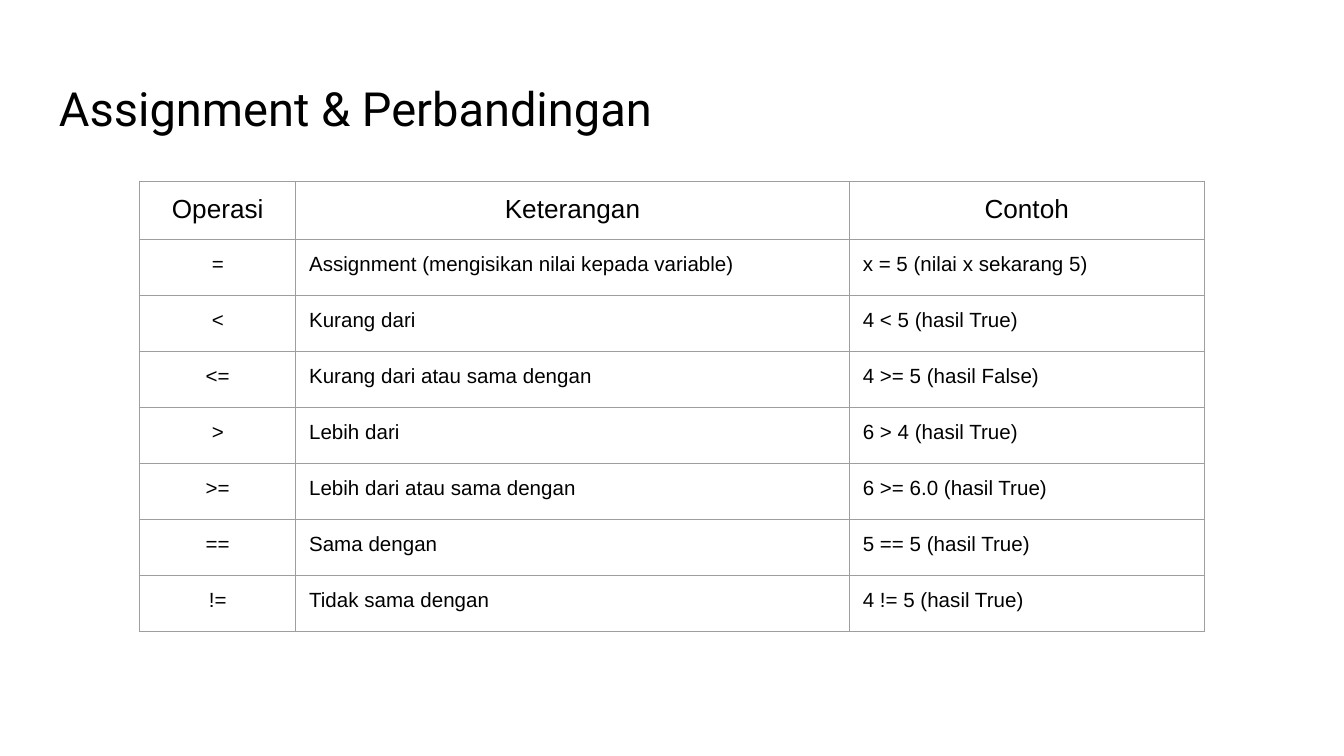
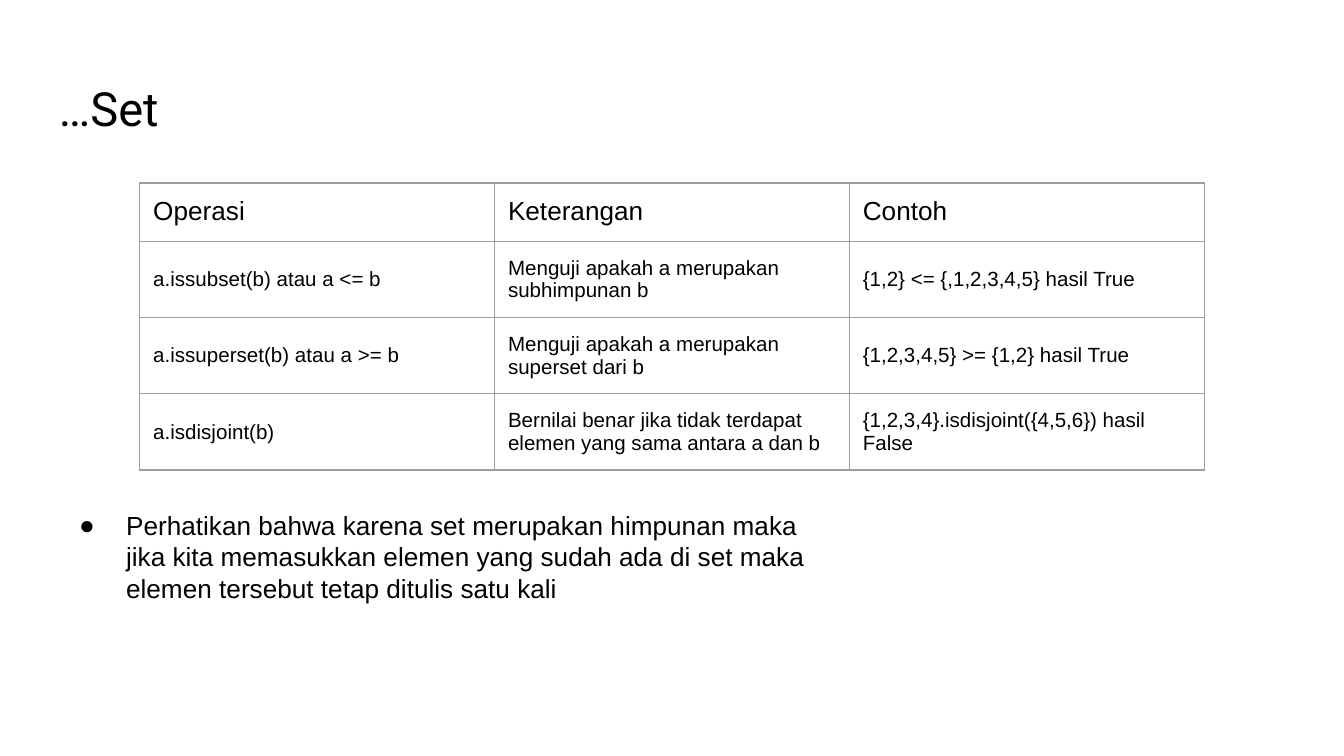
"""Build two slides on Python operators: comparison and set operations."""
from lxml import etree
from pptx import Presentation
from pptx.dml.color import RGBColor
from pptx.enum.text import MSO_ANCHOR, MSO_AUTO_SIZE, PP_ALIGN
from pptx.oxml.ns import qn
from pptx.util import Inches, Pt

MID, TOP = MSO_ANCHOR.MIDDLE, MSO_ANCHOR.TOP
LEFT, MIDDLE = PP_ALIGN.LEFT, PP_ALIGN.CENTER
GROW = MSO_AUTO_SIZE.SHAPE_TO_FIT_TEXT
HEX = {"ink": "000000", "rule": "9E9E9E", "page": "FFFFFF"}
HEAD, BODY = "Roboto", "Arial"
PAD = Inches(0.1)

deck = Presentation()
deck.slide_width, deck.slide_height = Inches(10), Inches(5.625)
COL, ROW = deck.slide_width / 100, deck.slide_height / 100
EDGE, TAB = 3.4, 10.4
HIGH = 7.4


def style(para, size, face=BODY):
    """Set size, face and colour on each run of a paragraph."""
    for run in para.runs:
        run.font.size, run.font.name = Pt(size), face
        run.font.color.rgb = RGBColor.from_string(HEX["ink"])


def label(page, place, text):
    """Add a wrapped, padded text box placed in grid units."""
    x, y, w, h = place
    box = page.shapes.add_textbox(int(x * COL), int(y * ROW), int(w * COL), int(h * ROW))
    frame = box.text_frame
    frame.text, frame.word_wrap = text, True
    frame.margin_left = frame.margin_right = PAD
    frame.margin_top = frame.margin_bottom = PAD
    return frame


NAMES = ("Operasi", "Keterangan", "Contoh")
PAGES = [
    {
        "title": "Assignment & Perbandingan",
        "top": 24, "cols": (11.6, 41.2, 26.4), "anchor": TOP,
        "head": (MIDDLE, MIDDLE, MIDDLE), "align": (MIDDLE, LEFT, LEFT),
        "rows": [
            ("=", "Assignment (mengisikan nilai kepada variable)", "x = 5 (nilai x sekarang 5)"),
            ("<", "Kurang dari", "4 < 5 (hasil True)"),
            ("<=", "Kurang dari atau sama dengan", "4 >= 5 (hasil False)"),
            (">", "Lebih dari", "6 > 4 (hasil True)"),
            (">=", "Lebih dari atau sama dengan", "6 >= 6.0 (hasil True)"),
            ("==", "Sama dengan", "5 == 5 (hasil True)"),
            ("!=", "Tidak sama dengan", "4 != 5 (hasil True)"),
        ],
    },
    {
        "title": "…Set",
        "top": 24.2, "cols": (26.4, 26.4, 26.4), "anchor": MID,
        "head": (LEFT, LEFT, LEFT), "align": (LEFT, LEFT, LEFT),
        "rows": [
            ("a.issubset(b) atau a <= b", "Menguji apakah a merupakan subhimpunan b",
             "{1,2} <= {,1,2,3,4,5} hasil True"),
            ("a.issuperset(b) atau a >= b", "Menguji apakah a merupakan superset dari b",
             "{1,2,3,4,5} >= {1,2} hasil True"),
            ("a.isdisjoint(b)", "Bernilai benar jika tidak terdapat elemen yang sama antara a dan b",
             "{1,2,3,4}.isdisjoint({4,5,6}) hasil False"),
        ],
        "note": "Perhatikan bahwa karena set merupakan himpunan maka jika kita memasukkan "
                "elemen yang sudah ada di set maka elemen tersebut tetap ditulis satu kali",
    },
]

for data in PAGES:
    page = deck.slides.add_slide(deck.slide_layouts[6])
    page.background.fill.solid()
    page.background.fill.fore_color.rgb = RGBColor.from_string(HEX["page"])
    title = label(page, (EDGE, 8.7, 93.2, 11.2), data["title"])
    style(title.paragraphs[0], 25.2, HEAD)

    rows = [NAMES] + data["rows"]
    grid = page.shapes.add_table(
        len(rows), len(NAMES), int(TAB * COL), int(data["top"] * ROW),
        int(sum(data["cols"]) * COL), int(len(rows) * HIGH * ROW)).table
    grid.first_row = grid.horz_banding = False
    for col, width in zip(grid.columns, data["cols"]):
        col.width = int(width * COL)
    for i, row in enumerate(rows):
        grid.rows[i].height = int(HIGH * ROW)
        for j, text in enumerate(row):
            cell = grid.cell(i, j)
            cell.text_frame.text = text
            cell.margin_left = cell.margin_right = PAD
            cell.margin_top = cell.margin_bottom = PAD
            cell.vertical_anchor = data["anchor"] if i else TOP
            para = cell.text_frame.paragraphs[0]
            para.alignment = data["align" if i else "head"][j]
            style(para, 11 if i else 14)
            cell.fill.background()
            props = cell._tc.get_or_add_tcPr()
            for k, side in enumerate(("a:lnL", "a:lnR", "a:lnT", "a:lnB")):
                line = etree.Element(qn(side), w=str(Pt(0.75)))
                fill = etree.SubElement(line, qn("a:solidFill"))
                etree.SubElement(fill, qn("a:srgbClr"), val=HEX["rule"])
                props.insert(k, line)

    if "note" in data:
        note = label(page, (EDGE, 65.6, 60, 16.2), data["note"])
        note.auto_size = GROW
        para = note.paragraphs[0]
        props = para._p.get_or_add_pPr()
        props.set("marL", str(Inches(0.5)))
        props.set("indent", str(Inches(-0.35)))
        tint = etree.SubElement(props, qn("a:buClr"))
        etree.SubElement(tint, qn("a:srgbClr"), val=HEX["ink"])
        etree.SubElement(props, qn("a:buFont"), typeface=BODY)
        etree.SubElement(props, qn("a:buChar"), char="●")
        style(para, 14)

deck.save("out.pptx")
